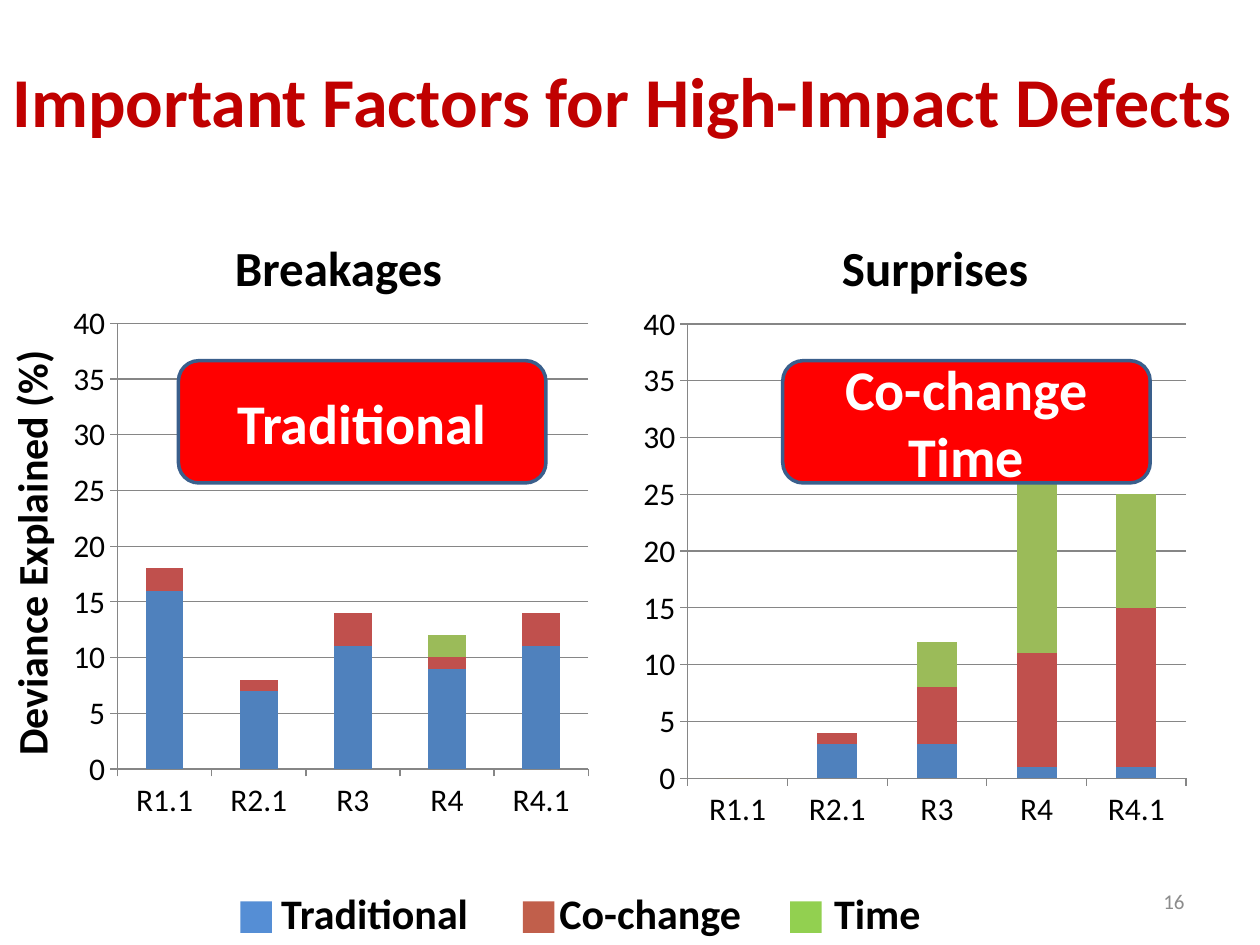
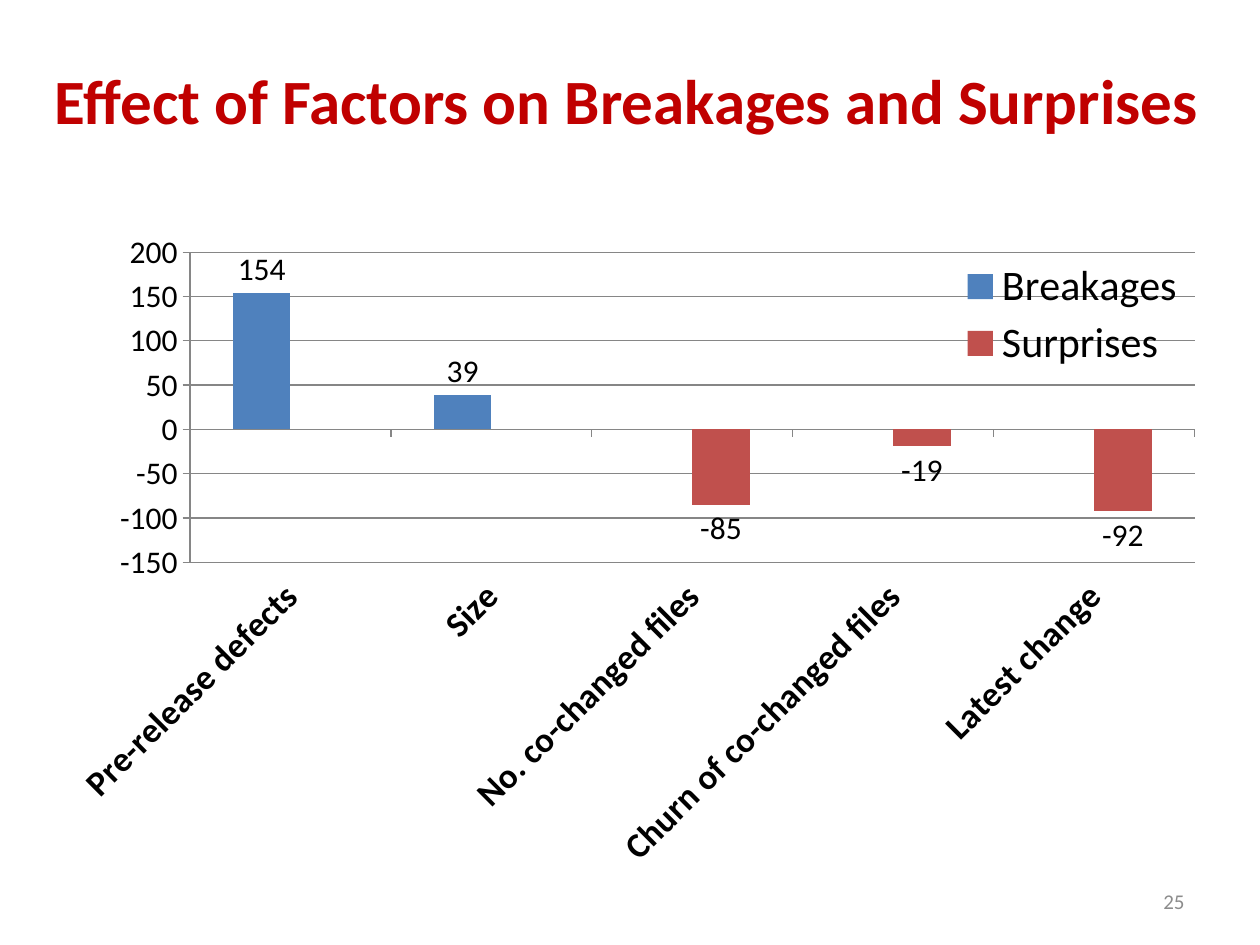
from pptx import Presentation
from pptx.chart.data import CategoryChartData
from pptx.dml.color import RGBColor
from pptx.enum.chart import (XL_CHART_TYPE as CT, XL_LABEL_POSITION as LP,
                             XL_LEGEND_POSITION as LEG, XL_TICK_LABEL_POSITION as TLP,
                             XL_TICK_MARK as TICK)
from pptx.enum.shapes import MSO_SHAPE as SHAPE
from pptx.enum.text import MSO_ANCHOR as ANCHOR, MSO_AUTO_SIZE as AUTO, PP_ALIGN as ALIGN
from pptx.oxml import parse_xml
from pptx.oxml.ns import nsdecls
from pptx.util import Inches, Pt

FONT = "Calibri"
COLORS = {
    "title": "C00000", "text": "000000", "white": "FFFFFF", "number": "8C8C8C",
    "callout": "FF0000", "outline": "3A5F8C", "grid": "868686",
    "blue": "4F81BD", "red": "C0504D", "green": "9BBB59",
    "key_blue": "558ED5", "key_red": "C15F4B", "key_green": "92D050",
}
SERIES_COLORS = ("blue", "red", "green")
COLS, ROWS = 120, 90
RELEASES = ["R1.1", "R2.1", "R3", "R4", "R4.1"]


def rgb(name):
    return RGBColor.from_string(COLORS[name])


def style(font, size, color="text", bold=False):
    font.name, font.size, font.bold = FONT, Pt(size), bold
    font.color.rgb = rgb(color)


def write(tf, text, size=24, color="text", bold=True, align=ALIGN.LEFT,
          anchor=ANCHOR.TOP, wrap=True):
    """Fill a text frame, one paragraph for each line of text."""
    tf.word_wrap, tf.auto_size, tf.vertical_anchor = wrap, AUTO.NONE, anchor
    for i, line in enumerate(text.split("\n")):
        p = tf.add_paragraph() if i else tf.paragraphs[0]
        p.alignment = align
        r = p.add_run()
        r.text = line
        style(r.font, size, color, bold)


def place(parent, index, inner, **percents):
    """Give a plot area or legend a fixed layout, in percent of the chart."""
    for old in parent.xpath("c:layout"):
        parent.remove(old)
    target = '<c:layoutTarget val="inner"/>' if inner else ""
    modes = "".join(f'<c:{k}Mode val="edge"/>' for k in "xy")
    sizes = "".join(f'<c:{k} val="{v / 100:.3f}"/>' for k, v in percents.items())
    parent.insert(index, parse_xml(
        f'<c:layout {nsdecls("c")}><c:manualLayout>{target}{modes}{sizes}'
        '</c:manualLayout></c:layout>'))


class Deck:
    """Holds the presentation, its grid and the current slide."""

    def __init__(self):
        self.prs = Presentation()
        self.prs.slide_width, self.prs.slide_height = Inches(10), Inches(7.5)
        self.slide = None

    def box(self, col, row, cols, rows):
        dx, dy = self.prs.slide_width / COLS, self.prs.slide_height / ROWS
        return int(col * dx), int(row * dy), int(cols * dx), int(rows * dy)

    def new_slide(self, title, number, col, cols, size):
        self.slide = self.prs.slides.add_slide(self.prs.slide_layouts[5])
        sp = self.slide.shapes.title
        sp.left, sp.top, sp.width, sp.height = self.box(col, 2, cols, 15)
        write(sp.text_frame, title, size=size, color="title", anchor=ANCHOR.MIDDLE)
        self.text(str(number), 86, 83.4, 28, 4.8, size=12, color="number", bold=False,
                  align=ALIGN.RIGHT, anchor=ANCHOR.MIDDLE, wrap=True)

    def text(self, text, *cells, rotation=0, wrap=False, **fmt):
        sp = self.slide.shapes.add_textbox(*self.box(*cells))
        sp.rotation = rotation
        write(sp.text_frame, text, wrap=wrap, **fmt)

    def shape(self, kind, fill, *cells, line=None):
        sp = self.slide.shapes.add_shape(kind, *self.box(*cells))
        sp.shadow.inherit = False
        sp.fill.solid()
        sp.fill.fore_color.rgb = rgb(fill)
        if line:
            sp.line.color.rgb, sp.line.width = rgb(line), Pt(2)
        else:
            sp.line.fill.background()
        return sp

    def callout(self, text, col):
        sp = self.shape(SHAPE.ROUNDED_RECTANGLE, "callout", col, 34.35, 35, 11.65,
                        line="outline")
        write(sp.text_frame, text, size=32, color="white", align=ALIGN.CENTER,
              anchor=ANCHOR.MIDDLE)

    def chart(self, kind, cats, series, cells, scale, plot):
        data = CategoryChartData()
        data.categories = cats
        for name, values in series.items():
            data.add_series(name, values)
        chart = self.slide.shapes.add_chart(kind, *self.box(*cells), data).chart
        chart.has_title = chart.has_legend = False
        style(chart.font, 18)
        bars = chart.plots[0]
        bars.gap_width, bars.vary_by_categories = 150, False
        bars.overlap = 100 if kind == CT.COLUMN_STACKED else 0
        for s, color in zip(bars.series, SERIES_COLORS):
            s.format.fill.solid()
            s.format.fill.fore_color.rgb = rgb(color)
            s.invert_if_negative = False
        # Axes and gridlines
        val = chart.value_axis
        val.minimum_scale, val.maximum_scale, val.major_unit = scale
        val.has_major_gridlines = True
        for axis in (val, chart.category_axis):
            axis.major_tick_mark, axis.minor_tick_mark = TICK.OUTSIDE, TICK.NONE
            axis.format.line.color.rgb = rgb("grid")
        val.major_gridlines.format.line.color.rgb = rgb("grid")
        place(chart.element.xpath(".//c:plotArea")[0], 0, True, **plot)
        return chart


def factors_slide(deck):
    deck.new_slide("Important Factors for High-Impact Defects", 16, 0, COLS, 40)

    # Colour key
    keys = [("Traditional", "key_blue", 22.9, 25.6, 20.4),
            ("Co-change", "key_red", 49.8, 52.1, 20),
            ("Time", "key_green", 75.25, 78.25, 10.7)]
    for label, color, square, col, cols in keys:
        deck.shape(SHAPE.RECTANGLE, color, square, 85.85, 3, 3)
        deck.text(label, col, 83.95, cols, 6)

    # Stacked charts, each with a heading and a callout
    panels = [
        ("Breakages", 21.2, 22.4, (6, 28, 51, 51), "Traditional", 17,
         [(16, 7, 11, 9, 11), (2, 1, 3, 1, 3), (0, 0, 0, 2, 0)]),
        ("Surprises", 79, 20.4, (60, 28, 54, 52), "Co-change\nTime", 74.55,
         [(0, 3, 3, 1, 1), (0, 1, 5, 10, 14), (0, 0, 4, 20, 10)]),
    ]
    for heading, col, cols, cells, note, note_col, rows in panels:
        series = {f"Series {i}": row for i, row in enumerate(rows, 1)}
        deck.chart(CT.COLUMN_STACKED, RELEASES, series, cells, (0, 40, 5),
                   dict(x=10.2, y=5.5, w=87.9, h=83.2))
        deck.text(heading, col, 22, cols, 6.8, size=28)
        deck.callout(note, note_col)
    deck.text("Deviance Explained (%)", -17.75, 49.45, 41.4, 6, rotation=270)


def effects_slide(deck):
    deck.new_slide("Effect of Factors on Breakages and Surprises", 25, 4, 114, 36)
    cats = ["Pre-release defects", "Size", "No. co-changed files",
            "Churn of co-changed files", "Latest change"]
    series = {"Breakages": (154, 39, None, None, None),
              "Surprises": (None, None, -85, -19, -92)}
    chart = deck.chart(CT.COLUMN_CLUSTERED, cats, series, (5, 21, 111, 63),
                       (-150, 200, 50), dict(x=11.8, y=4.8, w=86.2, h=46.9))

    # Slanted category names below the plot
    axis = chart.category_axis
    axis.tick_label_position = TLP.LOW
    style(axis.tick_labels.font, 20, bold=True)
    chart.element.xpath(".//c:catAx/c:txPr/a:bodyPr")[0].set("rot", "-2700000")

    # Value labels
    for s in chart.plots[0].series:
        labels = s.data_labels
        labels.show_value, labels.position = True, LP.OUTSIDE_END
        style(labels.font, 18)

    # Legend over the plot
    chart.has_legend = True
    legend = chart.legend
    legend.position, legend.include_in_layout = LEG.RIGHT, True
    style(legend.font, 24)
    place(chart.element.xpath(".//c:legend")[0], 1, False, x=77, y=5.3, w=21, h=18)


def main():
    deck = Deck()
    factors_slide(deck)
    effects_slide(deck)
    deck.prs.save("out.pptx")


if __name__ == "__main__":
    main()
